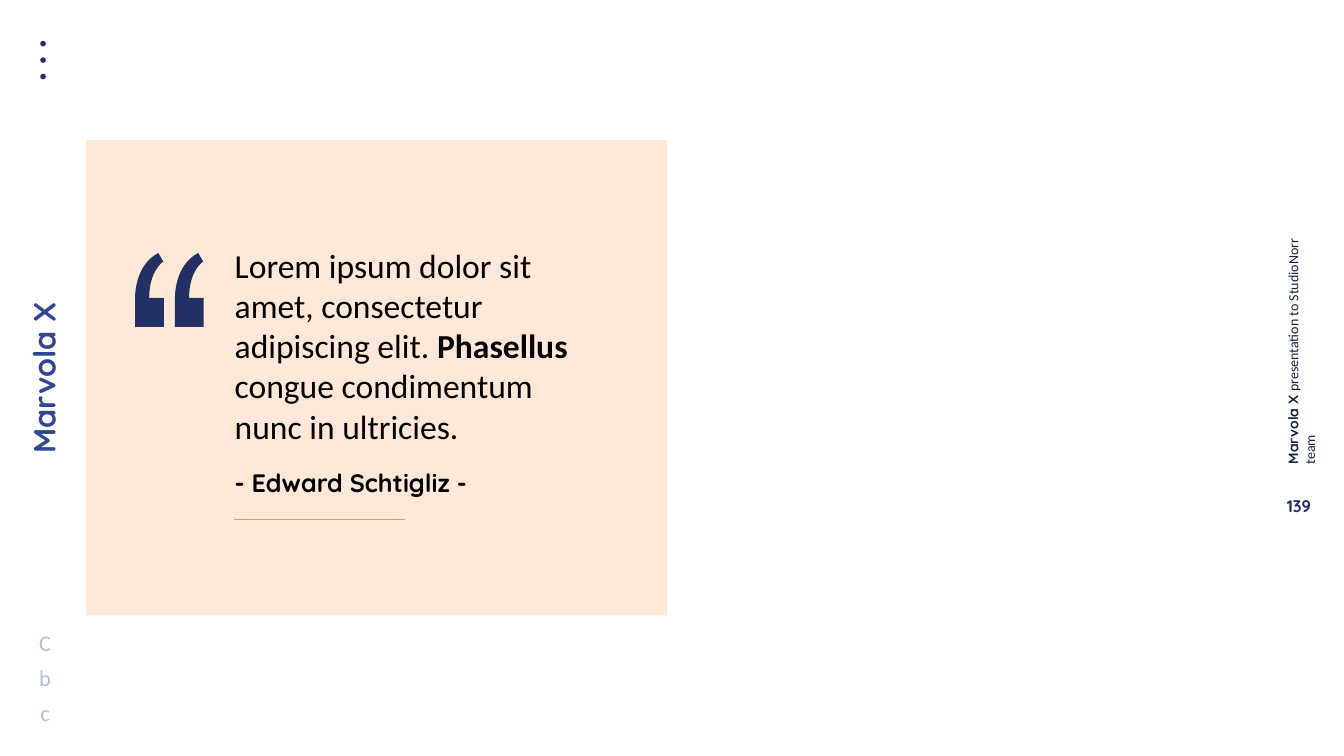
from dataclasses import dataclass

from lxml.etree import SubElement
from pptx import Presentation
from pptx.dml.color import RGBColor
from pptx.enum.shapes import MSO_CONNECTOR, MSO_SHAPE
from pptx.enum.text import MSO_ANCHOR as Anchor, MSO_AUTO_SIZE as AutoSize, PP_ALIGN as Align
from pptx.oxml.ns import qn
from pptx.shapes.autoshape import Shape
from pptx.slide import Slide
from pptx.util import Cm, Pt

Point = tuple[float, float]


@dataclass(frozen=True)
class Theme:
    heading: str = "Quicksand"
    body: str = "Calibri"
    navy: str = "223063"
    ink: str = "172144"
    blue: str = "314792"
    pale_blue: str = "B1BCE5"
    peach: str = "FFE8D7"
    orange: str = "FF8E38"
    black: str = "000000"
    footer_size: int = 20
    page_size: int = 24
    icon_size: int = 32
    author_size: int = 36
    brand_size: int = 44
    quote_size: int = 48


THEME = Theme()


@dataclass(frozen=True)
class Box:
    left: float
    top: float
    width: float
    height: float


@dataclass(frozen=True)
class Words:
    text: str
    font: str
    bold: bool = False


@dataclass(frozen=True)
class Label:
    box: Box
    words: tuple[Words, ...]
    size: int
    color: str
    align: Align = Align.LEFT
    anchor: Anchor = Anchor.TOP
    wrap: bool = False
    grow: bool = True
    rotation: int = 0
    margins: Point = (0.25, 0.13)


def paint(shape: Shape, color: str) -> None:
    shape.shadow.inherit = False
    shape.fill.solid()
    shape.fill.fore_color.rgb = RGBColor.from_string(color)
    shape.line.fill.background()


def add_block(slide: Slide, kind: MSO_SHAPE, box: Box, color: str) -> None:
    shape = slide.shapes.add_shape(kind, Cm(box.left), Cm(box.top), Cm(box.width), Cm(box.height))
    paint(shape, color)


def add_label(slide: Slide, label: Label) -> None:
    box = label.box
    shape = slide.shapes.add_textbox(Cm(box.left), Cm(box.top), Cm(box.width), Cm(box.height))
    shape.rotation = label.rotation
    frame = shape.text_frame
    frame.word_wrap = label.wrap
    frame.auto_size = AutoSize.SHAPE_TO_FIT_TEXT if label.grow else AutoSize.NONE
    frame.vertical_anchor = label.anchor
    frame.margin_left = frame.margin_right = Cm(label.margins[0])
    frame.margin_top = frame.margin_bottom = Cm(label.margins[1])
    paragraph = frame.paragraphs[0]
    paragraph.alignment = label.align
    for words in label.words:
        run = paragraph.add_run()
        run.text = words.text
        run.font.name = words.font
        run.font.size = Pt(label.size)
        run.font.bold = words.bold
        run.font.color.rgb = RGBColor.from_string(label.color)


def curve(start: Point, control_1: Point, control_2: Point, end: Point, steps: int = 16) -> list[Point]:
    points = []
    for step in range(1, steps + 1):
        t = step / steps
        weights = ((1 - t) ** 3, 3 * t * (1 - t) ** 2, 3 * t**2 * (1 - t), t**3)
        anchors = (start, control_1, control_2, end)
        x, y = (sum(w * a[axis] for w, a in zip(weights, anchors)) for axis in (0, 1))
        points.append((x, y))
    return points


def add_quote_mark(slide: Slide, left: float, top: float) -> None:
    outer, tip, notch, inner = (0, 2.26), (1.17, 0), (1.42, 0.43), (0.71, 2.26)
    outline = [(1.45, 2.26), (1.45, 3.73), (0, 3.73), outer]
    outline += curve(outer, outer, (-0.05, 0.64), tip)
    outline += [notch, *curve(notch, notch, (0.71, 0.89), inner)]
    points = [(Cm(left + x), Cm(top + y)) for x, y in outline]
    builder = slide.shapes.build_freeform(*points[0])
    builder.add_line_segments(points[1:], close=True)
    paint(builder.convert_to_shape(), THEME.navy)


def add_rule(slide: Slide, left: float, right: float, top: float) -> None:
    rule = slide.shapes.add_connector(MSO_CONNECTOR.STRAIGHT, Cm(left), Cm(top), Cm(right), Cm(top))
    rule.line.color.rgb = RGBColor.from_string(THEME.orange)
    rule.line.width = Pt(2.25)
    SubElement(rule._element.spPr, qn("a:effectLst"))


def add_margins(slide: Slide) -> None:
    brand = Words("Marvola X", THEME.heading, True)
    add_label(slide, Label(
        Box(58.88, 16.38, 13.41, 1.12),
        (brand, Words(" presentation to StudioNorr team", THEME.body)),
        THEME.footer_size, THEME.ink, anchor=Anchor.MIDDLE, rotation=270))
    add_label(slide, Label(
        Box(-3.91, 17.98, 12.19, 2.13), (brand,),
        THEME.brand_size, THEME.blue, Align.CENTER, wrap=True, rotation=270))
    for index in range(3):
        add_block(slide, MSO_SHAPE.OVAL, Box(2.03, 2.06 + index * 0.83, 0.28, 0.28), THEME.navy)
    add_label(slide, Label(
        Box(65.02, 24.66, 0.89, 1.63), (Words("139", THEME.heading, True),),
        THEME.page_size, THEME.navy, Align.CENTER, Anchor.MIDDLE, grow=False, margins=(0.33, 0.18)))
    for index, letter in enumerate("Cbc"):
        add_label(slide, Label(
            Box(1.45, 31.57 + index * 1.77, 1.65, 1.63), (Words(letter, THEME.body),),
            THEME.icon_size, THEME.pale_blue, Align.CENTER, Anchor.MIDDLE))


def add_quote(slide: Slide) -> None:
    add_block(slide, MSO_SHAPE.RECTANGLE, Box(4.34, 7.06, 29.29, 23.95), THEME.peach)
    for left in (6.81, 8.82):
        add_quote_mark(slide, left, 12.75)
    add_label(slide, Label(
        Box(11.58, 12.19, 19.18, 10.52),
        (Words("Lorem ipsum dolor sit amet, consectetur adipiscing elit. ", THEME.body),
         Words("Phasellus", THEME.body, True),
         Words(" congue condimentum nunc in ultricies.", THEME.body)),
        THEME.quote_size, THEME.black, wrap=True))
    add_rule(slide, 11.81, 20.4, 26.19)
    add_label(slide, Label(
        Box(11.58, 23.44, 12.32, 1.8), (Words("- Edward Schtigliz -", THEME.heading, True),),
        THEME.author_size, THEME.black))


def main() -> None:
    presentation = Presentation()
    presentation.slide_width = Cm(67.74)
    presentation.slide_height = Cm(38.1)
    slide = presentation.slides.add_slide(presentation.slide_layouts[6])
    add_margins(slide)
    add_quote(slide)
    presentation.save("out.pptx")


if __name__ == "__main__":
    main()
